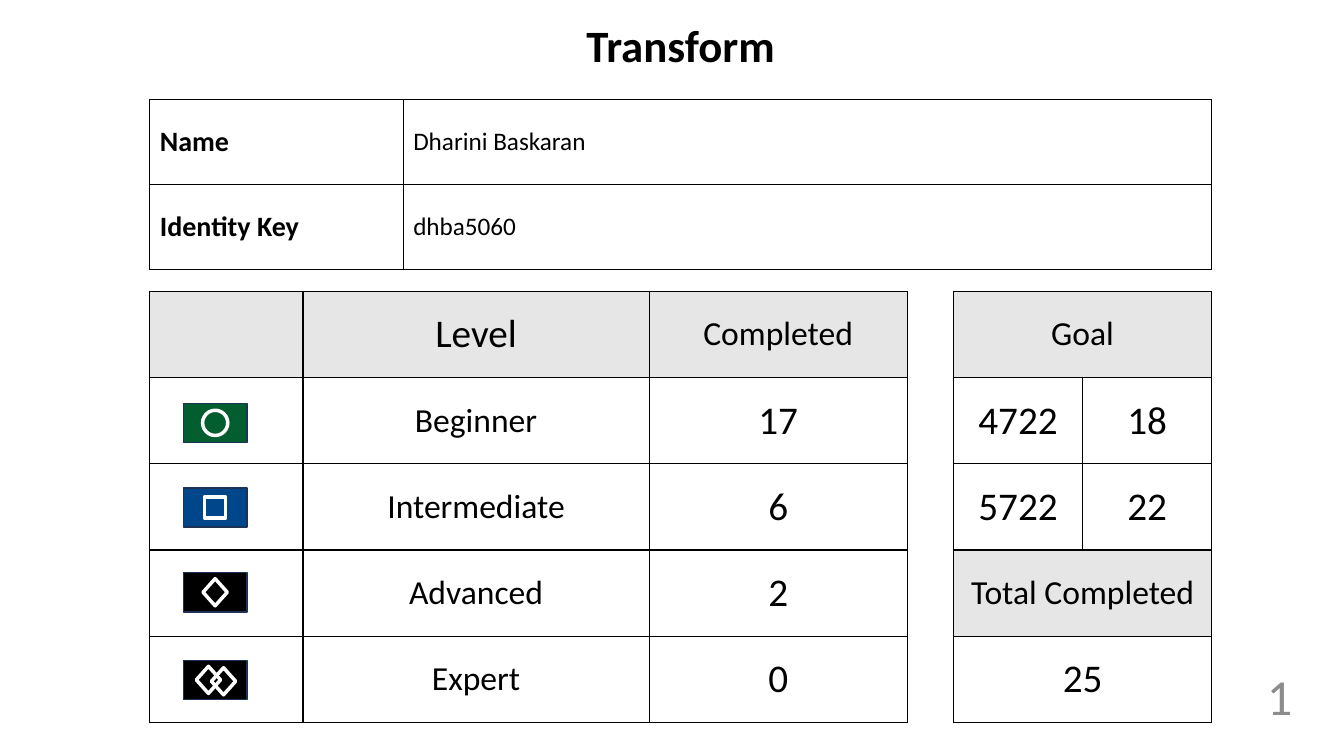
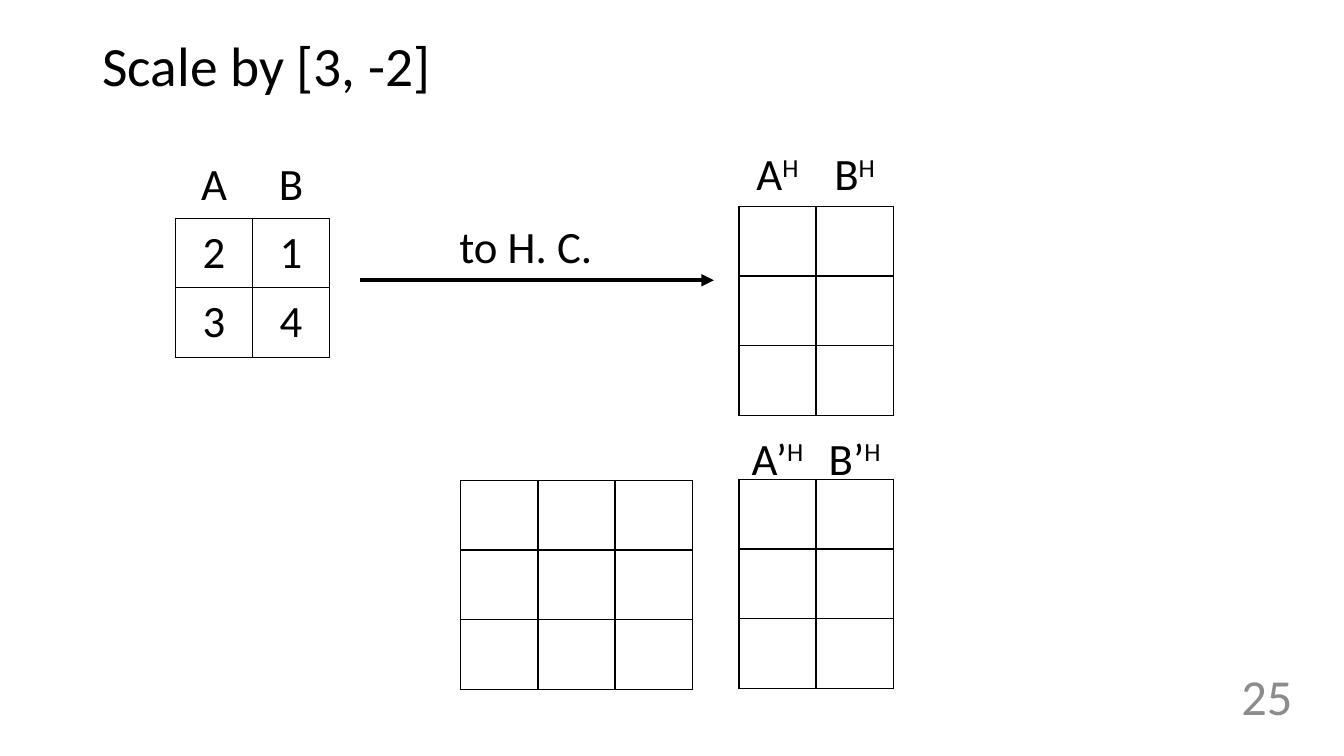
import pptx
import pptx.util
import pptx.dml.color
import pptx.enum.shapes
import pptx.enum.text
import pptx.oxml.ns
from lxml import etree

Pt = pptx.util.Pt
ALIGN = pptx.enum.text.PP_ALIGN
ANCHOR = pptx.enum.text.MSO_ANCHOR
SHAPE = pptx.enum.shapes.MSO_SHAPE

COLOURS = {
    "text": "000000",
    "page": "8C8C8C",
    "header": "E7E6E6",
    "white": "FFFFFF",
    "plate_edge": "1E3256",
    "green": "035E2F",
    "blue": "00468B",
    "black": "000000",
}


def rgb(name):
    return pptx.dml.color.RGBColor.from_string(COLOURS[name])


def add_xml(parent, tag, **attributes):
    return etree.SubElement(parent, pptx.oxml.ns.qn(tag), **attributes)


class Deck:
    """Holds the shared style and the slide being built."""

    font = "Calibri"

    def __init__(self):
        self.presentation = pptx.Presentation()
        self.presentation.slide_width = Pt(960)
        self.presentation.slide_height = Pt(540)
        self.slide = None

    def new_slide(self, page):
        blank = self.presentation.slide_layouts[6]
        self.slide = self.presentation.slides.add_slide(blank)
        self.text(page, 840.2, 465.8, 90, 61.9, 36, "page", ALIGN.RIGHT, ANCHOR.MIDDLE)

    def add_runs(self, paragraph, content, size, colour="text", bold=False):
        """Add content as runs, raising whatever follows a caret."""
        for position, part in enumerate(content.split("^")):
            run = paragraph.add_run()
            run.text = part
            run.font.name = self.font
            run.font.size = Pt(size)
            run.font.bold = bold
            run.font.color.rgb = rgb(colour)
            if position:
                run._r.get_or_add_rPr().set("baseline", "30000")

    def text(self, content, left, top, width, height, size, colour="text",
             align=ALIGN.LEFT, anchor=ANCHOR.TOP, bold=False, wrap=True):
        box = self.slide.shapes.add_textbox(Pt(left), Pt(top), Pt(width), Pt(height))
        frame = box.text_frame
        frame.word_wrap = wrap
        frame.vertical_anchor = anchor
        paragraph = frame.paragraphs[0]
        paragraph.alignment = align
        self.add_runs(paragraph, content, size, colour, bold)
        return paragraph

    def border(self, cell, visible):
        properties = cell._tc.get_or_add_tcPr()
        for position, side in enumerate(("a:lnL", "a:lnR", "a:lnT", "a:lnB")):
            line = add_xml(properties, side, w=str(Pt(1)))
            if visible:
                add_xml(add_xml(line, "a:solidFill"), "a:srgbClr", val=COLOURS["text"])
            else:
                add_xml(line, "a:noFill")
            properties.insert(position, line)

    def table(self, left, top, widths, row_height, rows, size, number_size=None,
              header=False, align=ALIGN.CENTER, bold_first=False, bordered=True, inset=7.2):
        frame = self.slide.shapes.add_table(
            len(rows), len(widths), Pt(left), Pt(top),
            Pt(sum(widths)), Pt(row_height * len(rows)))
        table = frame.table
        table.first_row = table.horz_banding = False
        for column, width in zip(table.columns, widths):
            column.width = Pt(width)
        for r, row in enumerate(rows):
            table.rows[r].height = Pt(row_height)
            for c, content in enumerate(row):
                cell = table.cell(r, c)
                cell.vertical_anchor = ANCHOR.MIDDLE
                cell.margin_left = cell.margin_right = Pt(inset)
                if header and r == 0:
                    cell.fill.solid()
                    cell.fill.fore_color.rgb = rgb("header")
                else:
                    cell.fill.background()
                self.border(cell, bordered)
                if content:
                    paragraph = cell.text_frame.paragraphs[0]
                    paragraph.alignment = align
                    chosen = number_size if number_size and content.isdigit() else size
                    self.add_runs(paragraph, content, chosen, bold=bold_first and c == 0)
        return table

    def shape(self, kind, left, top, width, height, fill, line, weight):
        shape = self.slide.shapes.add_shape(kind, Pt(left), Pt(top), Pt(width), Pt(height))
        shape.shadow.inherit = False
        if fill:
            shape.fill.solid()
            shape.fill.fore_color.rgb = rgb(fill)
        else:
            shape.fill.background()
        shape.line.color.rgb = rgb(line)
        shape.line.width = Pt(weight)

    def badge(self, top, colour, mark, width, height, offsets=(0,)):
        """Draw a level sign: a plate with one or more outlined marks."""
        plate_left, plate_width, plate_height = 131, 45.4, 28.1
        self.shape(SHAPE.RECTANGLE, plate_left, top, plate_width, plate_height,
                   colour, "plate_edge", 1)
        mark_top = top + (plate_height - height) / 2
        for number, offset in enumerate(offsets):
            mark_left = plate_left + (plate_width - width) / 2 + offset
            self.shape(mark, mark_left, mark_top + number, width, height,
                       None if number else colour, "white", 2.5)

    def arrow(self, start, end, y):
        arrow = self.slide.shapes.add_connector(
            pptx.enum.shapes.MSO_CONNECTOR.STRAIGHT, Pt(start), Pt(y), Pt(end), Pt(y))
        arrow.line.color.rgb = rgb("text")
        arrow.line.width = Pt(3)
        properties = arrow._element.spPr
        add_xml(properties.get_or_add_ln(), "a:tailEnd", type="triangle")
        add_xml(properties, "a:effectLst")

    def matrix(self, left, top, rows):
        self.table(left, top, [55.1] * len(rows[0]), 49.7, rows, 32)

    def point_labels(self, left, top, labels):
        self.table(left, top, [55.1] * len(labels), 49.7, [labels], 32,
                   bordered=False, inset=5)


def build_progress(deck):
    deck.new_slide("1")
    left, width, level_top, row_height = 107, 758.5, 208.1, 61.6
    deck.text("Transform", left, 9.4, width, 46, 32, align=ALIGN.CENTER, bold=True)
    identity = deck.table(
        left, 71.3, [181, 577.5], 60.5,
        [["Name", "Dharini Baskaran"], ["Identity Key", "dhba5060"]],
        18, align=ALIGN.LEFT, bold_first=True)
    for row in identity.rows:
        row.cells[0].text_frame.paragraphs[0].runs[0].font.size = Pt(20)

    levels = deck.table(
        left, level_top, [109.4, 247.3, 184.3], row_height,
        [["", "Level", "Completed"],
         ["", "Beginner", "17"],
         ["", "Intermediate", "6"],
         ["", "Advanced", "2"],
         ["", "Expert", "0"]],
        24, 28, header=True)
    levels.cell(0, 1).text_frame.paragraphs[0].runs[0].font.size = Pt(28)

    goal_left, goal_width = 681.1, 184.4
    goals = deck.table(
        goal_left, level_top, [goal_width / 2] * 2, row_height,
        [["Goal", ""], ["4722", "18"], ["5722", "22"]], 24, 28, header=True)
    goals.cell(0, 0).merge(goals.cell(0, 1))
    deck.table(goal_left, level_top + 3 * row_height, [goal_width], row_height,
               [["Total Completed"], ["25"]], 24, 28, header=True)

    deck.badge(288, "green", SHAPE.OVAL, 18, 18)
    deck.badge(348.5, "blue", SHAPE.RECTANGLE, 15.1, 15.1)
    deck.badge(409, "black", SHAPE.DIAMOND, 17.3, 19.4)
    deck.badge(471.6, "black", SHAPE.DIAMOND, 17.3, 19.4, (-4.8, 6))


def build_scaling(deck):
    deck.new_slide("25")
    title = deck.text("Scale by [3, -2]", 66.2, 28.8, 828, 39.6, 39.6, anchor=ANCHOR.MIDDLE)
    title.line_spacing = 0.9

    points_left, homogeneous_left = 125.3, 527.8
    empty_points = [[""] * 2] * 3
    deck.matrix(homogeneous_left, 342.5, empty_points)
    deck.matrix(homogeneous_left, 147.5, empty_points)
    deck.matrix(329.2, 343.2, [[""] * 3] * 3)
    deck.matrix(points_left, 155.8, [["2", "1"], ["3", "4"]])

    deck.arrow(257, 510, 200.2)
    deck.text("to H. C.", 321.1, 152.8, 110.9, 46, 32, wrap=False)
    deck.point_labels(points_left, 107.3, ["A", "B"])
    deck.point_labels(homogeneous_left, 100.4, ["A^H", "B^H"])
    deck.point_labels(homogeneous_left, 303.8, ["A’^H", "B’^H"])


def main():
    deck = Deck()
    build_progress(deck)
    build_scaling(deck)
    deck.presentation.save("out.pptx")


if __name__ == "__main__":
    main()
